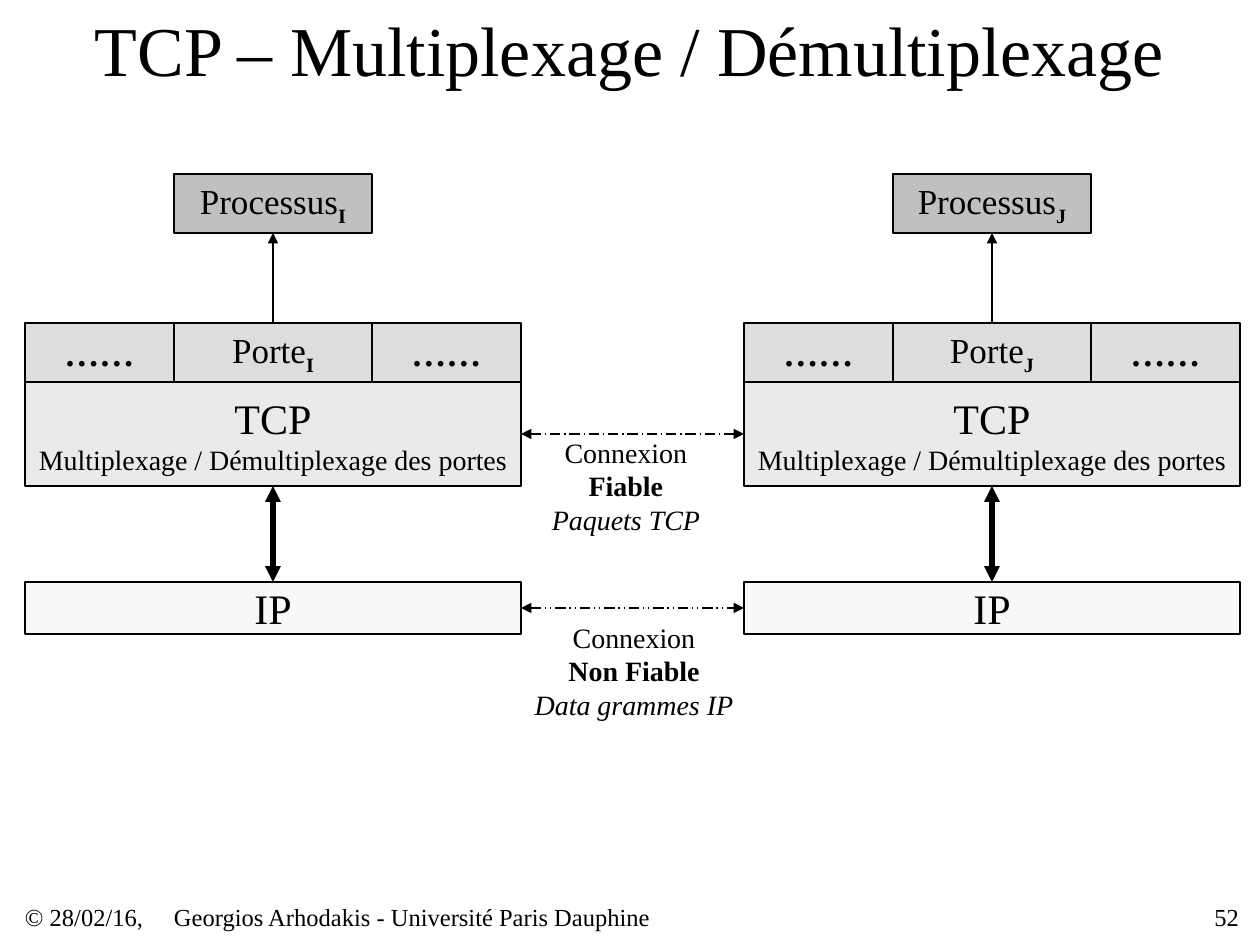
import pptx
import pptx.dml.color
import pptx.enum.dml
import pptx.enum.shapes
import pptx.enum.text
import pptx.oxml.ns
import pptx.util
from lxml import etree

EMU_PER_PX = 914400 / 126
FONT = "Times New Roman"
ALIGN = pptx.enum.text.PP_ALIGN
DASH = pptx.enum.dml.MSO_LINE
TOP, LEFT, BOTTOM, RIGHT = range(4)

STACK_LEFT, STACK_WIDTH, STACK_STEP = 25, 496, 719
SIDE_WIDTH, PORT_WIDTH, PORT_HEIGHT = 149, 198, 59
PROCESS_TOP, PORT_TOP, TCP_TOP, IP_TOP = 174, 323, 382, 582
TCP_HEIGHT, IP_HEIGHT = 104, 52


def px(length):
    return pptx.util.Emu(round(length * EMU_PER_PX))


def color(value):
    return pptx.dml.color.RGBColor.from_string(value)


def write(shape, paragraphs, align=ALIGN.CENTER, margin=0):
    """Fill a shape with paragraphs, each a list of (text, format) runs."""
    frame = shape.text_frame
    settings = {"word_wrap": True, "vertical_anchor": pptx.enum.text.MSO_ANCHOR.MIDDLE}
    for side in ("left", "right", "top", "bottom"):
        settings[f"margin_{side}"] = px(margin)
    for name, value in settings.items():
        setattr(frame, name, value)
    for index, runs in enumerate(paragraphs):
        paragraph = frame.paragraphs[0] if index == 0 else frame.add_paragraph()
        paragraph.alignment = align
        for text, values in runs:
            add_run(paragraph, text, **values)


def add_run(paragraph, text, size, baseline=None, **values):
    run = paragraph.add_run()
    run.text = text
    for name, value in {"name": FONT, "size": pptx.util.Pt(size), **values}.items():
        setattr(run.font, name, value)
    run.font.color.rgb = color("000000")
    if baseline:
        run._r.get_or_add_rPr().set("baseline", str(baseline))


def add_box(slide, bounds, fill, paragraphs):
    shape = slide.shapes.add_shape(
        pptx.enum.shapes.MSO_SHAPE.RECTANGLE, *map(px, bounds))
    shape.shadow.inherit = False
    shape.fill.solid()
    shape.fill.fore_color.rgb = color(fill)
    shape.line.color.rgb = color("000000")
    shape.line.width = pptx.util.Pt(0.75)
    write(shape, paragraphs)
    return shape


def add_text(slide, bounds, paragraphs, align=ALIGN.CENTER):
    write(slide.shapes.add_textbox(*map(px, bounds)), paragraphs, align)


def add_arrow(slide, start, end, width, ends, dash=None):
    """Join two (shape, site) pairs, with a triangle at each named end."""
    connector = slide.shapes.add_connector(
        pptx.enum.shapes.MSO_CONNECTOR.STRAIGHT, 0, 0, 0, 0)
    connector.begin_connect(*start)
    connector.end_connect(*end)
    connector.line.color.rgb = color("000000")
    connector.line.width = pptx.util.Pt(width)
    if dash:
        connector.line.dash_style = dash
    line = connector.line._get_or_add_ln()
    for name in ends:
        etree.SubElement(line, pptx.oxml.ns.qn(f"a:{name}"), type="triangle")
    etree.SubElement(connector._element.spPr, pptx.oxml.ns.qn("a:effectLst"))


def add_stack(slide, left, letter):
    """Draw one host from process down to IP; return its TCP and IP boxes."""
    def indexed(name):
        return [[(name, {"size": 20}),
                 (letter, {"size": 20, "bold": True, "baseline": -25000})]]

    dots = [[("……", {"size": 20, "bold": True})]]
    port_left = left + SIDE_WIDTH
    ip = add_box(slide, (left, IP_TOP, STACK_WIDTH, IP_HEIGHT), "F8F8F8",
                 [[("IP", {"size": 24})]])
    tcp = add_box(slide, (left, TCP_TOP, STACK_WIDTH, TCP_HEIGHT), "EAEAEA",
                  [[("TCP", {"size": 24})],
                   [("Multiplexage / Démultiplexage des portes", {"size": 16})]])
    for side_left in (port_left + PORT_WIDTH, left):
        add_box(slide, (side_left, PORT_TOP, SIDE_WIDTH, PORT_HEIGHT), "DDDDDD", dots)
    port = add_box(slide, (port_left, PORT_TOP, PORT_WIDTH, PORT_HEIGHT),
                   "DDDDDD", indexed("Porte"))
    process = add_box(slide, (port_left, PROCESS_TOP, PORT_WIDTH, PORT_HEIGHT),
                      "C0C0C0", indexed("Processus"))
    add_arrow(slide, (port, TOP), (process, BOTTOM), 1.5, ["tailEnd"])
    add_arrow(slide, (ip, TOP), (tcp, BOTTOM), 3, ["headEnd", "tailEnd"])
    return tcp, ip


def add_connection(slide, first, second, dash, label_at, quality, unit):
    add_arrow(slide, (first, RIGHT), (second, LEFT), 0.75, ["headEnd", "tailEnd"], dash)
    add_text(slide, (*label_at, 202, 101),
             [[("Connexion", {"size": 16})],
              [(quality, {"size": 16, "bold": True})],
              [(unit, {"size": 16, "italic": True})]])


def add_title(slide, text):
    title = slide.shapes.title
    bounds = {"left": 73, "top": 0, "width": 1113, "height": 97}
    for name, value in bounds.items():
        setattr(title, name, px(value))
    write(title, [[(text, {"size": 40})]], margin=6)
    title.text_frame.auto_size = pptx.enum.text.MSO_AUTO_SIZE.NONE


def add_footer(slide):
    for left, width, text, align in (
            (25, 149, "© 28/02/16,", ALIGN.LEFT),
            (174, 743, "Georgios Arhodakis - Université Paris Dauphine", ALIGN.LEFT),
            (977, 262, "52", ALIGN.RIGHT)):
        add_text(slide, (left, 902, width, 30), [[(text, {"size": 14})]], align)


def main():
    presentation = pptx.Presentation()
    presentation.slide_width = px(1260)
    presentation.slide_height = px(945)
    slide = presentation.slides.add_slide(presentation.slide_layouts[5])
    add_footer(slide)
    add_title(slide, "TCP – Multiplexage / Démultiplexage")
    stacks = [add_stack(slide, STACK_LEFT + index * STACK_STEP, letter)
              for index, letter in enumerate("IJ")]
    tcp_pair, ip_pair = zip(*stacks)
    add_connection(slide, *ip_pair, DASH.DASH_DOT_DOT, (533, 620),
                   "Non Fiable", "Data grammes IP")
    add_connection(slide, *tcp_pair, DASH.LONG_DASH_DOT, (525, 435),
                   "Fiable", "Paquets TCP")
    presentation.save("out.pptx")


if __name__ == "__main__":
    main()
